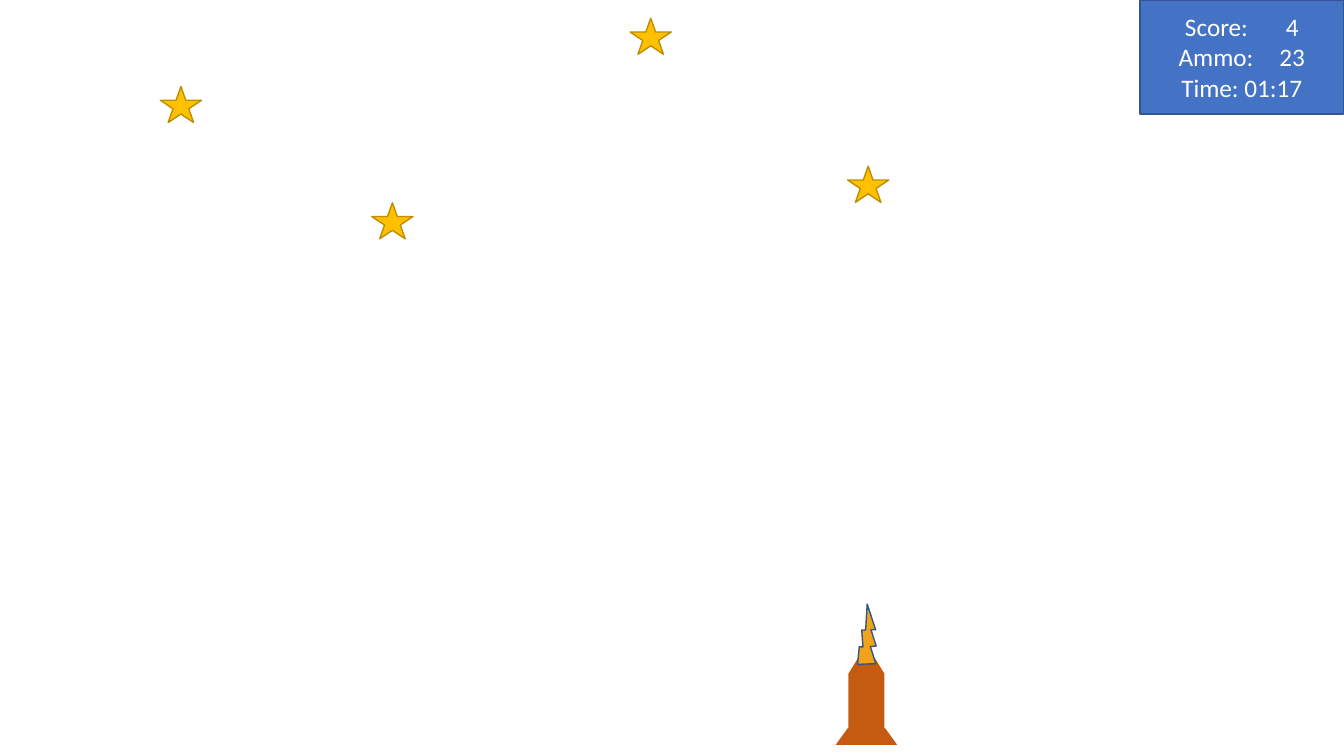
"""Build a star-shooting game screen with a score panel."""
from dataclasses import dataclass

from pptx import Presentation
from pptx.dml.color import RGBColor
from pptx.enum.shapes import MSO_SHAPE
from pptx.enum.text import MSO_ANCHOR, PP_ALIGN
from pptx.shapes.autoshape import Shape
from pptx.slide import Slide
from pptx.util import Cm, Pt

STAR = MSO_SHAPE.STAR_5_POINT
BARREL = MSO_SHAPE.PENTAGON
BASE = MSO_SHAPE.FLOWCHART_MANUAL_OPERATION
BOLT = MSO_SHAPE.LIGHTNING_BOLT
PANEL = MSO_SHAPE.RECTANGLE
MIDDLE = MSO_ANCHOR.MIDDLE
CENTER = PP_ALIGN.CENTER

GOLD = "FFC000"
DARK_GOLD = "BD8E00"
RUST = "C55A11"
ORANGE = "F2A316"
BLUE = "4472C4"
DARK_BLUE = "325491"
WHITE = "FFFFFF"

STAR_PLACES = [(4.04, 2.18), (9.37, 5.11), (15.88, 0.46), (21.36, 4.19)]
SCORE_LINES = ["Score:\t4", "Ammo:\t23", "Time: 01:17"]


@dataclass(frozen=True)
class Piece:
    """One game piece, with lengths in centimetres."""

    kind: MSO_SHAPE
    left: float
    top: float
    width: float
    height: float
    fill: str
    line: str | None = None
    rotation: float = 0
    adjustment: float | None = None


STARS = [Piece(STAR, left, top, 1.04, 0.91, GOLD, DARK_GOLD) for left, top in STAR_PLACES]
CANNON = [
    Piece(BARREL, 20.78, 16.84, 2.11, 0.91, RUST, rotation=270, adjustment=0.81),
    Piece(BASE, 21.06, 18.34, 1.55, 0.43, RUST, rotation=180),
    Piece(BOLT, 21.41, 15.37, 0.97, 1.42, ORANGE, DARK_BLUE, rotation=211.6),
]
SCORE_PANEL = Piece(PANEL, 28.73, 0, 5.13, 2.87, BLUE, DARK_BLUE)


def color(value: str) -> RGBColor:
    """Turn a hex string into a colour."""
    return RGBColor.from_string(value)


def draw_piece(page: Slide, piece: Piece) -> Shape:
    """Draw one game piece on the page."""
    shape = page.shapes.add_shape(
        piece.kind, Cm(piece.left), Cm(piece.top), Cm(piece.width), Cm(piece.height)
    )
    shape.shadow.inherit = False
    shape.rotation = piece.rotation
    if piece.adjustment is not None:
        shape.adjustments[0] = piece.adjustment
    shape.fill.solid()
    shape.fill.fore_color.rgb = color(piece.fill)
    if piece.line is None:
        shape.line.fill.background()
    else:
        shape.line.color.rgb = color(piece.line)
        shape.line.width = Pt(1)
    return shape


def write_score(panel: Shape, lines: list[str]) -> None:
    """Write the centred score lines in the panel."""
    frame = panel.text_frame
    frame.word_wrap = True
    frame.vertical_anchor = MIDDLE
    frame.text = "\n".join(lines)
    for para in frame.paragraphs:
        para.alignment = CENTER
        for span in para.runs:
            span.font.name = "Calibri"
            span.font.size = Pt(18)
            span.font.color.rgb = color(WHITE)


def main() -> None:
    """Build and save the deck."""
    deck = Presentation()
    deck.slide_width = Cm(33.87)
    deck.slide_height = Cm(19.05)
    page = deck.slides.add_slide(deck.slide_layouts.get_by_name("Blank"))
    for piece in STARS + CANNON:
        draw_piece(page, piece)
    write_score(draw_piece(page, SCORE_PANEL), SCORE_LINES)
    deck.save("out.pptx")


if __name__ == "__main__":
    main()
